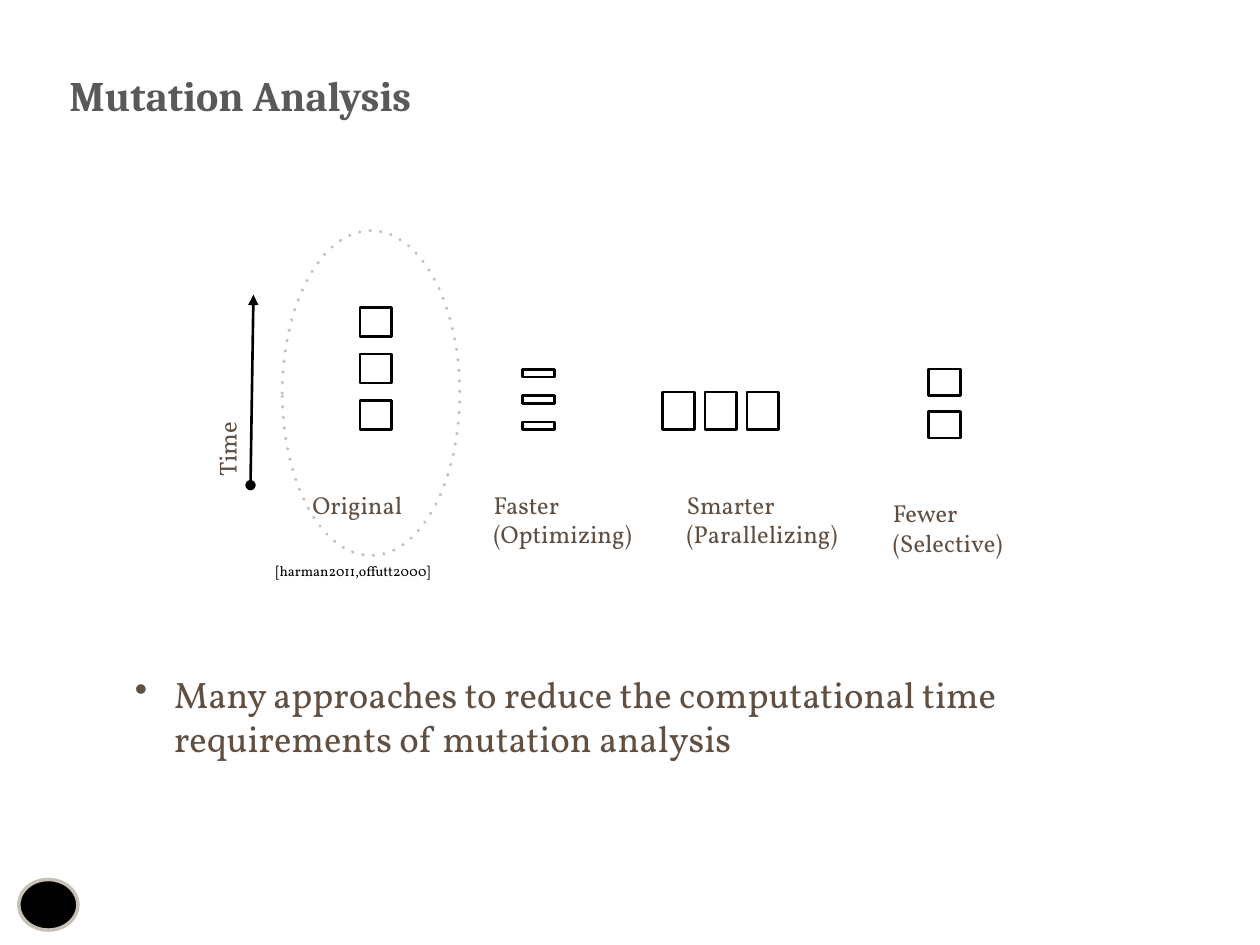
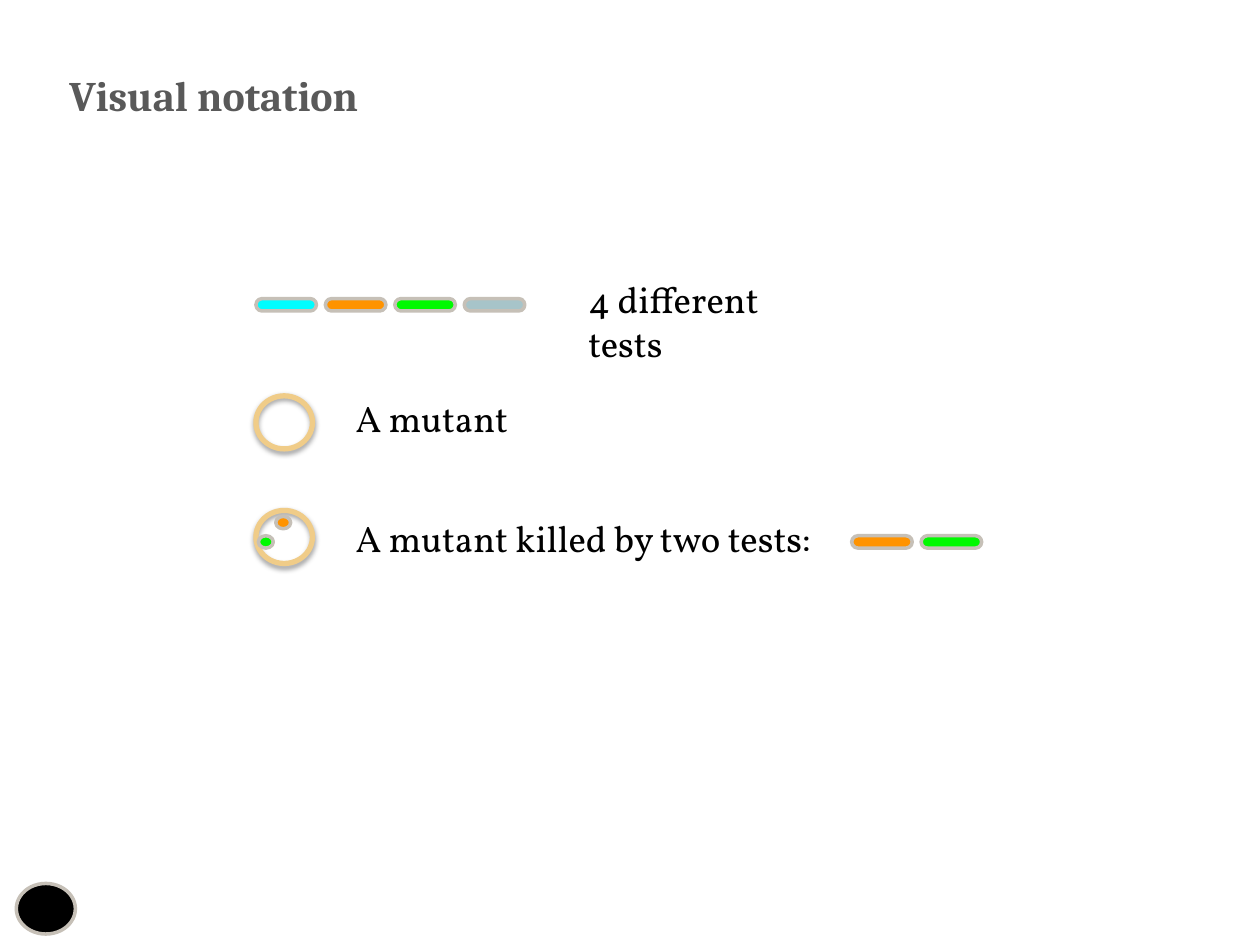
from dataclasses import dataclass

from lxml.etree import SubElement
from pptx import Presentation
from pptx.dml.color import RGBColor
from pptx.enum.shapes import MSO_CONNECTOR as Link, MSO_SHAPE as Shape
from pptx.enum.text import MSO_ANCHOR as Anchor
from pptx.oxml.ns import qn
from pptx.util import Cm, Pt


@dataclass(frozen=True)
class Theme:
    """Colours, fonts and type sizes of the deck."""
    title_font: str = "Cambria"
    body_font: str = "Vollkorn"
    title: str = "595959"
    brown: str = "615042"
    black: str = "000000"
    edge: str = "C6C0B7"
    ring: str = "F0CC88"
    cyan: str = "00FDFF"
    orange: str = "FF9300"
    green: str = "00F900"
    grey: str = "A7C4C9"
    title_size: int = 24
    body_size: int = 21
    label_size: int = 14
    cite_size: int = 8


T = Theme()


def add_child(parent, tag, **attrs):
    """Append a DrawingML element and return it."""
    return SubElement(parent, qn(tag), {k: str(v) for k, v in attrs.items()})


def add_text(s, box, *lines, size=T.body_size, color=T.black, font=T.body_font,
             bold=False, inset=0.13, rotation=0, anchor=Anchor.TOP, bullet=False):
    """Place lines of text, one paragraph each, in a box."""
    sp = s.shapes.add_textbox(*map(Cm, box))
    sp.rotation = rotation
    tf = sp.text_frame
    tf.word_wrap = True
    tf.vertical_anchor = anchor
    tf.margin_left = tf.margin_right = tf.margin_top = tf.margin_bottom = Cm(inset)
    for i, line in enumerate(lines):
        p = tf.add_paragraph() if i else tf.paragraphs[0]
        r = p.add_run()
        r.text = line
        r.font.name, r.font.size, r.font.bold = font, Pt(size), bold
        r.font.color.rgb = RGBColor.from_string(color)
        if bullet:
            pPr = p._p.get_or_add_pPr()
            pPr.set("marL", str(Cm(0.79)))
            pPr.set("indent", str(-Cm(0.79)))
            add_child(pPr, "a:buChar", char="•")
    return sp


def add_figure(s, kind, box, fill=None, line=T.edge, weight=2):
    """Draw a preset shape without shadow."""
    sp = s.shapes.add_shape(kind, *map(Cm, box))
    sp.shadow.inherit = False
    if fill:
        sp.fill.solid()
        sp.fill.fore_color.rgb = RGBColor.from_string(fill)
    else:
        sp.fill.background()
    sp.line.color.rgb = RGBColor.from_string(line)
    sp.line.width = Pt(weight)
    return sp


def add_base(prs, title, badge_x, badge_y):
    """Start a slide with its title and corner badge."""
    s = prs.slides.add_slide(prs.slide_layouts[6])
    add_text(s, (1.27, 1.27, 22.86, 1.9), title, size=T.title_size,
             color=T.title, font=T.title_font, bold=True)
    add_figure(s, Shape.OVAL, (badge_x, badge_y, 1.19, 1.02), T.black)
    return s


def add_approach(s, x, y, width, lines, dx, size, pitch, count):
    """Label an approach and stand its work units above the label."""
    w, h = size
    px, py = pitch
    top = y - 0.97 - h - (count - 1) * py
    for i in range(count):
        add_figure(s, Shape.RECTANGLE, (x + dx + i * px, top + i * py, w, h),
                   line=T.black, weight=1.5)
    add_text(s, (x, y, width, 0.6 + 0.62 * len(lines)), *lines,
             size=T.label_size, color=T.brown, inset=0.25)


def add_time_axis(s, x, y):
    """Draw the upward time arrow from its foot, with its label."""
    axis = s.shapes.add_connector(Link.STRAIGHT, Cm(x), Cm(y), Cm(x + 0.06), Cm(y - 3.84))
    axis.line.color.rgb = RGBColor.from_string(T.black)
    axis.line.width = Pt(1.5)
    spPr = axis._element.spPr
    ln = spPr.find(qn("a:ln"))
    add_child(ln, "a:headEnd", type="oval")
    add_child(ln, "a:tailEnd", type="triangle")
    add_child(spPr, "a:effectLst")
    add_text(s, (x - 1.67, y - 1.75, 2.46, 1.17), "Time", size=T.label_size,
             color=T.brown, inset=0.25, rotation=270)


def add_highlight(s, x, y, w, h):
    """Circle an approach with dots and cite its sources below."""
    sp = add_figure(s, Shape.OVAL, (x, y, w, h))
    ln = sp._element.spPr.find(qn("a:ln"))
    ln.set("cap", "rnd")
    dash = add_child(ln, "a:custDash")
    add_child(dash, "a:ds", d=100000, sp=200000)
    add_text(s, (x - 0.38, y + h - 0.13, 4.95, 0.89), "[harman2011,offutt2000]",
             size=T.cite_size, inset=0.25, anchor=Anchor.MIDDLE)


def add_tests(s, x, y, colors):
    """Draw a row of test bars."""
    for i, color in enumerate(colors):
        bar = add_figure(s, Shape.ROUNDED_RECTANGLE, (x + 1.4 * i, y, 1.22, 0.25), color)
        bar.adjustments[0] = 0.5


def add_mutant(s, x, y, label, label_dy, label_w, kills=()):
    """Draw a mutant ring with kill marks and its label."""
    ring = add_figure(s, Shape.OVAL, (x, y, 1.14, 1.07), line=T.ring, weight=3)
    effects = ring._element.spPr.find(qn("a:effectLst"))
    shadow = add_child(effects, "a:outerShdw", blurRad=Pt(3), dist=Pt(1.6),
                       dir=5400000, rotWithShape=0)
    color = add_child(shadow, "a:srgbClr", val=T.black)
    add_child(color, "a:alpha", val=38000)
    for dx, dy, fill in kills:
        add_figure(s, Shape.OVAL, (x + dx, y + dy, 0.3, 0.25), fill)
    add_text(s, (x + 1.88, y + label_dy, label_w, 1.24), label)


def build_analysis(prs):
    """Compare four approaches to mutation analysis."""
    s = add_base(prs, "Mutation Analysis", 0.38, 17.73)
    approaches = (
        (6.05, 9.63, 3.1, ["Original"], 1.21, (0.64, 0.58), (0, 0.94), 3),
        (9.7, 9.63, 4.29, ["Faster", "(Optimizing)"], 0.84, (0.64, 0.15), (0, 0.53), 3),
        (13.59, 9.63, 4.62, ["Smarter", "(Parallelizing)"], -0.23, (0.64, 0.76), (0.85, 0), 3),
        (17.75, 9.8, 3.63, ["Fewer", "(Selective)"], 0.97, (0.64, 0.53), (0, 0.86), 2),
    )
    for approach in approaches:
        add_approach(s, *approach)
    add_time_axis(s, 5.05, 9.78)
    add_highlight(s, 5.69, 4.65, 3.58, 6.55)
    add_text(s, (2.59, 13.41, 18.8, 2.24),
             "Many approaches to reduce the computational time requirements of mutation analysis",
             color=T.brown, bullet=True)


def build_notation(prs):
    """Explain the symbols for tests and mutants."""
    s = add_base(prs, "Visual notation", 0.33, 17.81)
    left = 5.16
    add_tests(s, left, 6.02, (T.cyan, T.orange, T.green, T.grey))
    add_text(s, (11.73, 5.44, 4.9, 2.1), "4 different tests")
    add_mutant(s, left, 7.98, "A mutant", -0.13, 3.8)
    add_mutant(s, left, 10.29, "A mutant killed by two tests:", -0.03, 10.1,
               ((0.4, 0.12, T.orange), (0.05, 0.51, T.green)))
    add_tests(s, 17.17, 10.8, (T.orange, T.green))


def main():
    """Build and save the deck."""
    prs = Presentation()
    prs.slide_width, prs.slide_height = Cm(25.4), Cm(19.05)
    build_analysis(prs)
    build_notation(prs)
    prs.save("out.pptx")


if __name__ == "__main__":
    main()
